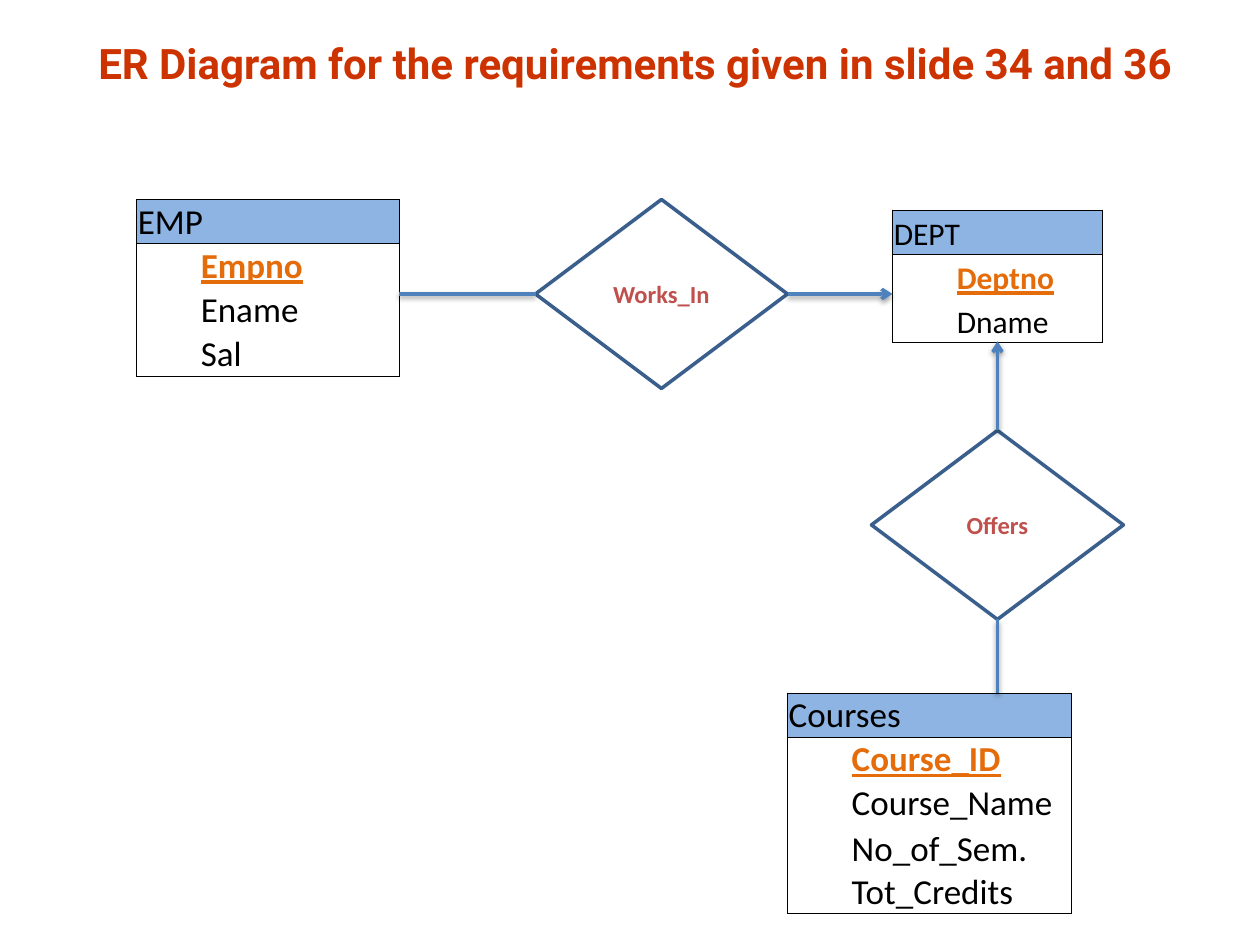
from lxml import etree
from pptx import Presentation
from pptx.dml.color import RGBColor
from pptx.enum.shapes import MSO_CONNECTOR, MSO_SHAPE
from pptx.enum.text import MSO_ANCHOR, MSO_AUTO_SIZE, PP_ALIGN
from pptx.oxml import parse_xml
from pptx.util import Inches, Pt

MIDDLE, BOTTOM = MSO_ANCHOR.MIDDLE, MSO_ANCHOR.BOTTOM
LEFT, CENTER = PP_ALIGN.LEFT, PP_ALIGN.CENTER
NAMESPACE = 'xmlns:a="http://schemas.openxmlformats.org/drawingml/2006/main"'
ROW_HEIGHT = 4.2


def grid(units):
    return Inches(units / 12)


def style(paragraph, size, color, bold=False, font="Calibri"):
    for span in paragraph.runs:
        span.font.size = Pt(size)
        span.font.name = font
        span.font.bold = bold
        span.font.color.rgb = RGBColor.from_string(color)


deck = Presentation()
deck.slide_width, deck.slide_height = Inches(10), Inches(7.5)
page = deck.slides.add_slide(deck.slide_layouts[5])

title = page.shapes.title
title.left, title.top, title.width, title.height = Inches(0.68), grid(3), Inches(9.32), grid(6)
title.text_frame.text = "ER Diagram for the requirements given in slide 34 and 36"
title.text_frame.auto_size = MSO_AUTO_SIZE.NONE
title.text_frame.vertical_anchor = MIDDLE
title.text_frame.paragraphs[0].alignment = LEFT
style(title.text_frame.paragraphs[0], 24, "CC3300", True, "Roboto")

entities = [
    (13, 19, 25, 20, ["EMP", "Empno", "Ename", "Sal"]),
    (85, 20, 20, 18, ["DEPT", "Deptno", "Dname"]),
    (75, 66, 27, 20, ["Courses", "Course_ID", "Course_Name", "No_of_Sem.\nTot_Credits"]),
]
for left, top, width, size, rows in entities:
    lines = sum(len(text.split("\n")) for text in rows)
    frame = page.shapes.add_table(len(rows), 1, grid(left), grid(top),
                                  grid(width), grid(ROW_HEIGHT * lines))
    table = frame.table
    table.first_row = table.horz_banding = False
    for index, text in enumerate(rows):
        table.rows[index].height = grid(ROW_HEIGHT * len(text.split("\n")))
        cell = table.cell(index, 0)
        cell.margin_left = cell.margin_right = cell.margin_top = Inches(0.01)
        cell.margin_bottom = 0
        cell.vertical_anchor = BOTTOM
        cell.text_frame.text = text
        for para in cell.text_frame.paragraphs:
            is_key = index == 1
            style(para, size, "E46C0A" if is_key else "000000", is_key)
            para.runs[0].font.underline = is_key
            if index:
                para.level = 1
                properties = para._p.get_or_add_pPr()
                properties.set("marL", str(Inches(0.5)))
                properties.set("indent", "0")
        if index:
            cell.fill.background()
        else:
            cell.fill.solid()
            cell.fill.fore_color.rgb = RGBColor.from_string("8DB4E2")
        borders = {"L": True, "R": True, "T": index < 2, "B": index in (0, len(rows) - 1)}
        for position, (side, visible) in enumerate(borders.items()):
            paint = '<a:solidFill><a:srgbClr val="000000"/></a:solidFill>' if visible else "<a:noFill/>"
            border = parse_xml(f'<a:ln{side} {NAMESPACE} w="{Pt(0.5)}">{paint}</a:ln{side}>')
            cell._tc.get_or_add_tcPr().insert(position, border)

diamonds = {}
for name, left, top in [("Works_In", 51, 19), ("Offers", 83, 41)]:
    diamond = page.shapes.add_shape(MSO_SHAPE.DIAMOND, grid(left), grid(top), grid(24), grid(18))
    diamond.shadow.inherit = False
    diamond.fill.solid()
    diamond.fill.fore_color.rgb = RGBColor.from_string("FFFFFF")
    diamond.line.color.rgb = RGBColor.from_string("3A5F8C")
    diamond.line.width = Pt(2)
    diamond.text_frame.text = name
    diamond.text_frame.vertical_anchor = MIDDLE
    diamond.text_frame.paragraphs[0].alignment = CENTER
    style(diamond.text_frame.paragraphs[0], 14, "C0504D", True)
    diamonds[name] = diamond

links = [
    ("Works_In", 1, (51, 28), (38, 28), False),
    ("Works_In", 3, (75, 28), (85, 28), True),
    ("Offers", 0, (95, 41), (95, 32.5), True),
    ("Offers", 2, (95, 59), (95, 66), False),
]
for name, site, start, end, has_arrow in links:
    link = page.shapes.add_connector(MSO_CONNECTOR.STRAIGHT, *map(grid, start + end))
    link.begin_connect(diamonds[name], site)
    link.line.color.rgb = RGBColor.from_string("4F81BD")
    link.line.width = Pt(2)
    if has_arrow:
        link.line._get_or_add_ln().append(parse_xml(f'<a:tailEnd {NAMESPACE} type="arrow"/>'))
    shadow = etree.fromstring(
        f'<a:effectLst {NAMESPACE}><a:outerShdw blurRad="{Pt(3.1)}" dist="{Pt(1.6)}" '
        'dir="5400000" rotWithShape="0"><a:srgbClr val="000000"><a:alpha val="38000"/>'
        '</a:srgbClr></a:outerShdw></a:effectLst>')
    link._element.spPr.append(shadow)

deck.save("out.pptx")
